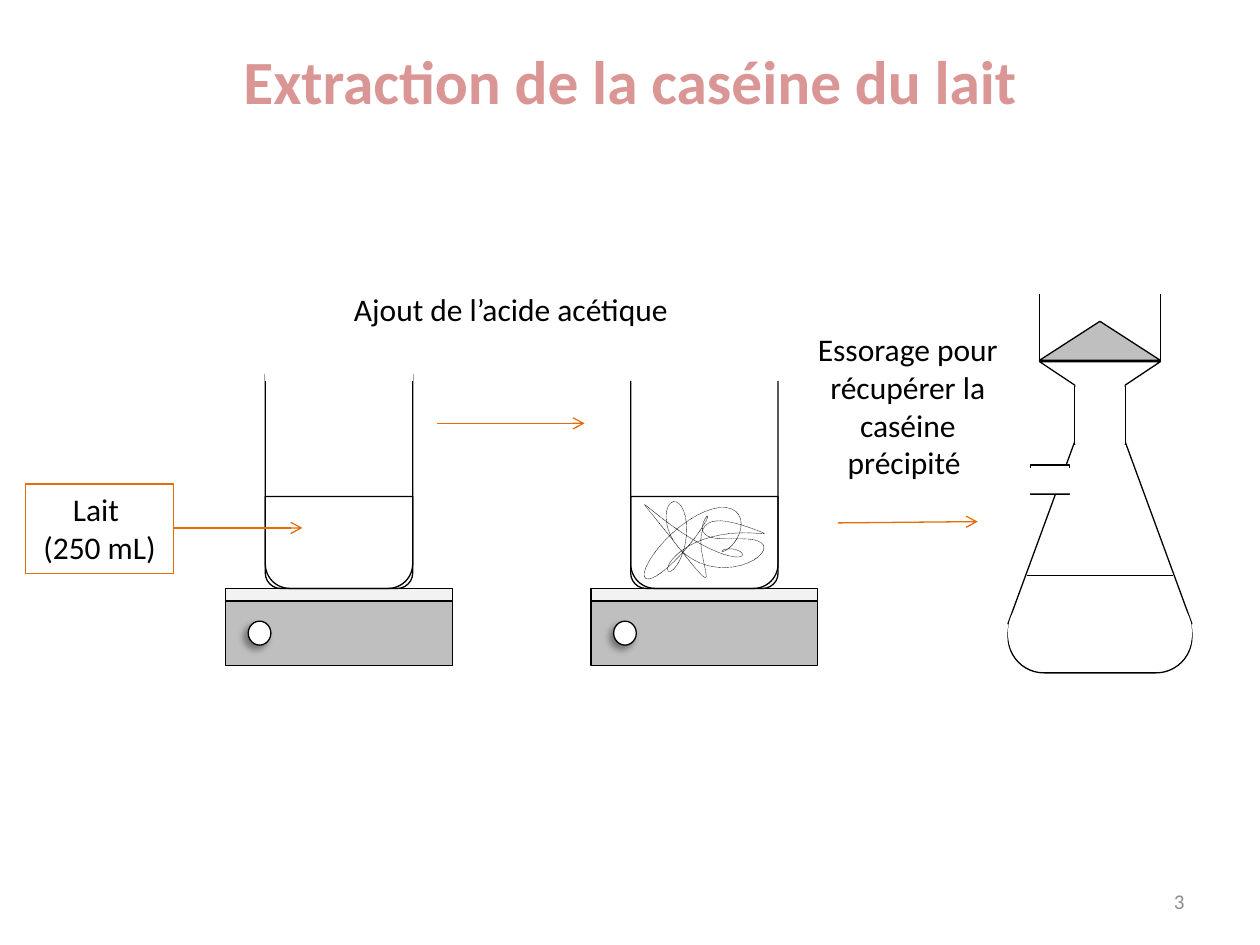
from math import pi, sin

from lxml import etree
from pptx import Presentation
from pptx.dml.color import RGBColor
from pptx.enum.dml import MSO_LINE
from pptx.enum.shapes import MSO_CONNECTOR, MSO_SHAPE
from pptx.enum.text import MSO_ANCHOR, PP_ALIGN
from pptx.oxml import parse_xml
from pptx.oxml.ns import nsdecls, qn
from pptx.util import Inches, Pt

RECTANGLE = MSO_SHAPE.RECTANGLE
ROUNDED = MSO_SHAPE.ROUND_2_SAME_RECTANGLE
TRIANGLE = MSO_SHAPE.ISOSCELES_TRIANGLE
TRAPEZOID = MSO_SHAPE.TRAPEZOID
OVAL = MSO_SHAPE.OVAL
STRAIGHT = MSO_CONNECTOR.STRAIGHT
DOTTED = MSO_LINE.ROUND_DOT
CENTER, RIGHT = PP_ALIGN.CENTER, PP_ALIGN.RIGHT
TOP, MIDDLE = MSO_ANCHOR.TOP, MSO_ANCHOR.MIDDLE

color = RGBColor.from_string
BLACK, WHITE, GRAY, PALE = "000000", "FFFFFF", "BFBFBF", "F2F2F2"
ORANGE, PINK, NUMBER_GRAY = "E46C0A", "D99694", "8C8C8C"

presentation = Presentation()
presentation.slide_width = Inches(10)
presentation.slide_height = Inches(7.5)
slide = presentation.slides.add_slide(presentation.slide_layouts[6])


def add_part(shapes, kind, box, fill=None, line=BLACK, rotation=0,
             adjustments=()):
    shape = shapes.add_shape(kind, *[Inches(value) for value in box])
    shape.shadow.inherit = False
    shape.rotation = rotation
    for index, value in enumerate(adjustments):
        shape.adjustments[index] = value
    if fill:
        shape.fill.solid()
        shape.fill.fore_color.rgb = color(fill)
    else:
        shape.fill.background()
    if line:
        shape.line.color.rgb = color(line)
        shape.line.width = Pt(0.75)
    else:
        shape.line.fill.background()
    return shape


def add_line(shapes, start, end, line, arrow=False):
    connector = shapes.add_connector(
        STRAIGHT, *[Inches(value) for value in start + end])
    connector.line.color.rgb = color(line)
    connector.line.width = Pt(0.75)
    properties = connector._element.spPr
    if arrow:
        outline = properties.find(qn("a:ln"))
        etree.SubElement(outline, qn("a:tailEnd"), type="arrow")
    etree.SubElement(properties, qn("a:effectLst"))


# Precipitated casein: a tangled dotted thread, the sum of two waves each way
casein_x, casein_y = 5.59, 4.29
thread_steps = 200
thread = []
for step in range(thread_steps):
    angle = 2 * pi * step / thread_steps
    x = casein_x + 0.32 * sin(3 * angle) + 0.18 * sin(7 * angle + 1)
    y = casein_y + 0.19 * sin(5 * angle) + 0.12 * sin(8 * angle + 2)
    thread.append((Inches(x), Inches(y)))
builder = slide.shapes.build_freeform(*thread[0])
builder.add_line_segments(thread[1:], close=True)
casein = builder.convert_to_shape()
casein.shadow.inherit = False
casein.fill.background()
casein.line.color.rgb = color(BLACK)
casein.line.width = Pt(0.25)
casein.line.dash_style = DOTTED

# Two beakers, each on a hot plate
plate_top, plate_width = 4.67, 1.8
beaker_width, beaker_height, milk_height = 1.17, 1.7, 0.73
for plate_left in (1.79, 4.69):
    plate = slide.shapes.add_group_shape().shapes
    add_part(plate, RECTANGLE, (plate_left, plate_top + 0.1, plate_width, 0.51), GRAY)
    knob = add_part(plate, OVAL, (plate_left + 0.18, 4.93, 0.18, 0.19), WHITE)
    effects = knob._element.spPr.find(qn("a:effectLst"))
    effects.append(parse_xml(
        f'<a:outerShdw {nsdecls("a")} blurRad="{Pt(4)}" dist="{Pt(3)}" '
        'dir="8100000"><a:srgbClr val="000000"><a:alpha val="40000"/>'
        '</a:srgbClr></a:outerShdw>'))
    add_part(plate, RECTANGLE, (plate_left, plate_top, plate_width, 0.1), PALE)

    beaker = slide.shapes.add_group_shape().shapes
    beaker_left = plate_left + (plate_width - beaker_width) / 2
    for height in (beaker_height, milk_height):
        add_part(beaker, ROUNDED,
                 (beaker_left, plate_top - height, beaker_width, height), rotation=180)
    # A white strip opens the rim
    rim_top = plate_top - beaker_height - 0.05
    add_part(beaker, RECTANGLE, (beaker_left, rim_top, beaker_width, 0.1), WHITE, WHITE)

# Milk label frame and step arrows
milk_frame = add_part(slide.shapes, RECTANGLE, (0.2, 3.84, 1.18, 0.71), line=ORANGE)
step_arrows = [((1.38, 4.19), (2.4, 4.19)),
               ((3.47, 3.36), (4.64, 3.36)),
               ((6.65, 4.15), (7.76, 4.14))]
for start, end in step_arrows:
    add_line(slide.shapes, start, end, ORANGE, arrow=True)

# Text boxes
title, acid_label, filter_label, slide_number = [
    slide.shapes.add_textbox(*[Inches(value) for value in box])
    for box in ((0, 0.29, 10, 0.69), (2.56, 2.25, 2.99, 0.4),
                (6.34, 2.57, 1.73, 1.31), (7.17, 6.95, 2.33, 0.4))]

# Wording, size, colour, alignment and anchor of each text
texts = [
    (title, "Extraction de la caséine du lait", 35.1, PINK, CENTER, TOP),
    (milk_frame, "Lait \n(250 mL)", 18, BLACK, CENTER, TOP),
    (acid_label, "Ajout de l’acide acétique", 18, BLACK, CENTER, TOP),
    (filter_label, "Essorage pour récupérer la caséine précipité ", 18, BLACK, CENTER, TOP),
    (slide_number, "3", 12, NUMBER_GRAY, RIGHT, MIDDLE),
]
for shape, wording, size, text_color, alignment, anchor in texts:
    text_frame = shape.text_frame
    text_frame.word_wrap = True
    text_frame.vertical_anchor = anchor
    text_frame.text = wording
    for paragraph in text_frame.paragraphs:
        paragraph.alignment = alignment
        font = paragraph.runs[0].font
        font.name = "Calibri"
        font.size = Pt(size)
        font.bold = shape is title
        font.color.rgb = color(text_color)

# Suction flask, back to front; every part is centred on one vertical axis.
# White parts without a line erase the edges that the glass does not have.
flask = slide.shapes.add_group_shape().shapes
flask_axis = 8.73
base_width, funnel_width, neck_width = 1.46, 0.96, 0.41
base_corners = (0.467, 0.5)

# Kind, top, width, height, fill, line, rotation, adjustments
flask_body = [
    (RECTANGLE, 2.24, funnel_width, 0.63, WHITE, BLACK, 0, ()),      # funnel wall
    (RECTANGLE, 2.1, 1.15, 0.23, WHITE, WHITE, 0, ()),               # open funnel rim
    (ROUNDED, 4.73, base_width, 0.61, WHITE, BLACK, 180, base_corners),
    (RECTANGLE, 4.7, base_width, 0.24, WHITE, WHITE, 0, ()),         # open base top
    (TRIANGLE, 2.96, base_width, 1.99, None, BLACK, 0, ()),          # sloping sides
    (RECTANGLE, 2.69, neck_width, 1.09, WHITE, None, 0, ()),         # triangle tip
    (ROUNDED, 4.7, base_width, 0.63, WHITE, None, 180, base_corners),
    (TRAPEZOID, 4.39, 1.42, 0.56, WHITE, WHITE, 0, (0.455,)),        # joined inside
]
funnel_and_neck = [
    (TRIANGLE, 2.55, funnel_width, 0.31, GRAY, BLACK, 0, ()),        # filtered casein
    (TRIANGLE, 2.87, funnel_width, 0.32, WHITE, BLACK, 180, ()),     # funnel cone
    (RECTANGLE, 3.07, neck_width, 0.46, WHITE, BLACK, 0, ()),        # neck
    (RECTANGLE, 3, neck_width - 0.02, 0.57, WHITE, None, 0, ()),     # open neck ends
]
for parts in (flask_body, funnel_and_neck):
    for kind, top, width, height, *style in parts:
        add_part(flask, kind, (flask_axis - width / 2, top, width, height), *style)
    if parts is flask_body:
        # Liquid level, then the side arm with its open ends
        add_line(flask, (flask_axis - 0.58, 4.57), (flask_axis + 0.58, 4.57), BLACK)
        add_part(flask, RECTANGLE, (8.22, 3.65, 0.23, 0.31), WHITE, BLACK, 270)
        add_part(flask, RECTANGLE, (8.21, 3.5, 0.2, 0.63), WHITE, None, 270)

presentation.save("out.pptx")
